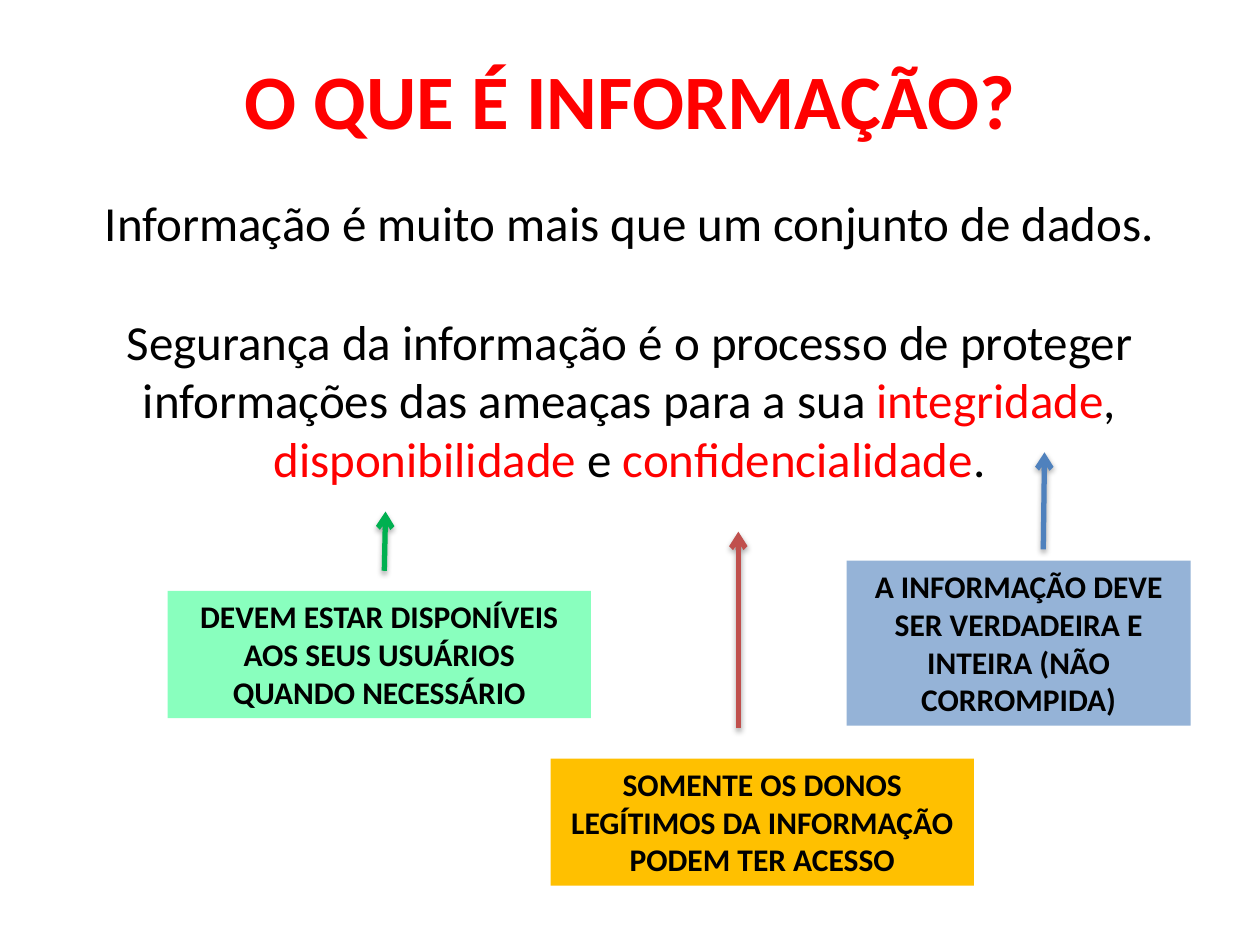
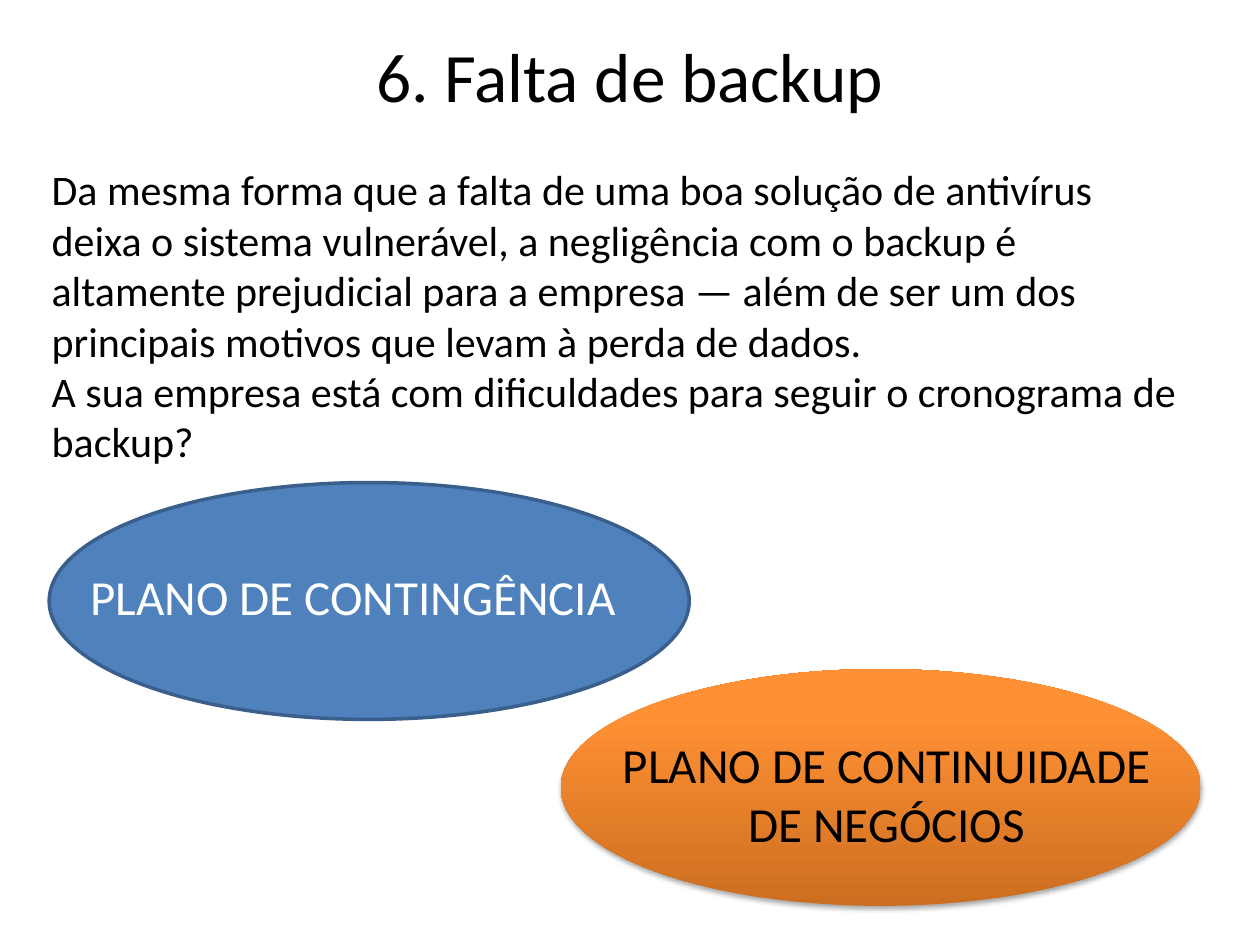
"""Builds two slides on information security and missing backups."""
from copy import deepcopy

from pptx import Presentation
from pptx.dml.color import RGBColor
from pptx.enum.shapes import MSO_CONNECTOR as Connector, MSO_SHAPE as Preset
from pptx.enum.text import MSO_ANCHOR as Anchor, MSO_AUTO_SIZE as AutoSize, PP_ALIGN as Align
from pptx.oxml import parse_xml
from pptx.oxml.ns import nsdecls, qn
from pptx.util import Pt

PX = 9144
FONT = "Calibri"
BLACK, WHITE, RED = "000000", "FFFFFF", "FF0000"
BLUE = "4F81BD"
SHADOW = (
    f'<a:effectLst {nsdecls("a")}>'
    '<a:outerShdw blurRad="40000" dist="23000" dir="5400000" rotWithShape="0">'
    f'<a:srgbClr val="{BLACK}"><a:alpha val="35000"/></a:srgbClr>'
    "</a:outerShdw></a:effectLst>"
)


def rgb(color):
    return RGBColor.from_string(color)


def write(paragraph, runs, size, align=Align.CENTER, bold=False):
    paragraph.alignment = align
    paragraph.space_before = Pt(0)
    for text, color in runs:
        run = paragraph.add_run()
        run.text = text
        run.font.name = FONT
        run.font.size = Pt(size)
        run.font.bold = bold
        run.font.color.rgb = rgb(color)


presentation = Presentation()
presentation.slide_width, presentation.slide_height = 1000 * PX, 750 * PX

definition = [
    ("Segurança da informação é o processo de proteger informações das ameaças para a sua ", BLACK),
    ("integridade", RED), (", ", BLACK), ("disponibilidade", RED),
    (" e ", BLACK), ("confidencialidade", RED), (".", BLACK),
]
pages = [
    dict(title="O QUE É INFORMAÇÃO?", title_top=16, title_size=44, title_color=RED,
         title_bold=True, title_margin=5, body_box=(70, 148, 859, 246), body_size=28,
         align=Align.CENTER, gap=34,
         body=[[("Informação é muito mais que um conjunto de dados.", BLACK)], definition]),
    dict(title="6. Falta de backup", title_top=30, title_size=39.6, title_color=BLACK,
         title_bold=False, title_margin=72, body_box=(31, 125, 922, 252), body_size=24,
         align=Align.LEFT, gap=0,
         body=[[("Da mesma forma que a falta de uma boa solução de antivírus deixa o sistema "
                 "vulnerável, a negligência com o backup é altamente prejudicial para a empresa "
                 "— além de ser um dos principais motivos que levam à perda de dados.", BLACK)],
               [("A sua empresa está com dificuldades para seguir o cronograma de backup?", BLACK)]]),
]

slides = []
for page in pages:
    slide = presentation.slides.add_slide(presentation.slide_layouts[1])
    slides.append(slide)
    title, body = slide.placeholders
    boxes = ((50, page["title_top"], 900, 125), page["body_box"])
    for placeholder, box in zip((title, body), boxes):
        placeholder.left, placeholder.top, placeholder.width, placeholder.height = (
            length * PX for length in box)
        placeholder.text_frame.auto_size = AutoSize.NONE
        placeholder.text_frame.word_wrap = True
    title.text_frame.vertical_anchor = Anchor.MIDDLE
    title.text_frame.margin_bottom = page["title_margin"] * PX
    write(title.text_frame.paragraphs[0], [(page["title"], page["title_color"])],
          page["title_size"], bold=page["title_bold"])
    for index, runs in enumerate(page["body"]):
        frame = body.text_frame
        paragraph = frame.add_paragraph() if index else frame.paragraphs[0]
        write(paragraph, runs, page["body_size"], page["align"])
        paragraph.space_before = Pt(page["gap"] * index)
        properties = paragraph._p.get_or_add_pPr()
        properties.set("marL", "0")
        properties.set("indent", "0")
        properties.append(parse_xml(f'<a:buNone {nsdecls("a")}/>'))

information_slide, backup_slide = slides

callouts = [
    ("SOMENTE OS DONOS LEGÍTIMOS DA INFORMAÇÃO PODEM TER ACESSO",
     (437, 602, 336, 101), "FFC000", (586, 578, 586, 422), "C0504D"),
    ("A INFORMAÇÃO DEVE SER VERDADEIRA E INTEIRA (NÃO CORROMPIDA)",
     (672, 445, 273, 131), "95B3D7", (828, 436, 829, 359), BLUE),
    ("DEVEM ESTAR DISPONÍVEIS AOS SEUS USUÁRIOS QUANDO NECESSÁRIO",
     (133, 469, 336, 101), "89FFBE", (305, 453, 306, 406), "00B050"),
]
for text, box, fill, ends, arrow_color in callouts:
    callout = information_slide.shapes.add_shape(
        Preset.RECTANGLE, *(length * PX for length in box))
    callout.shadow.inherit = False
    callout.fill.solid()
    callout.fill.fore_color.rgb = rgb(fill)
    callout.line.fill.background()
    callout.text_frame.word_wrap = True
    callout.text_frame.vertical_anchor = Anchor.TOP
    write(callout.text_frame.paragraphs[0], [(text, BLACK)], 18, bold=True)

    arrow = information_slide.shapes.add_connector(
        Connector.STRAIGHT, *(length * PX for length in ends))
    arrow.line.color.rgb = rgb(arrow_color)
    arrow.line.width = Pt(3)
    arrow.line._get_or_add_ln().append(parse_xml(f'<a:tailEnd {nsdecls("a")} type="arrow"/>'))
    arrow._element.spPr.append(parse_xml(SHADOW))

plans = [
    ("PLANO DE CONTINGÊNCIA", (39, 383), (62, 445, 469, 57), WHITE, Align.LEFT),
    ("PLANO DE CONTINUIDADE DE NEGÓCIOS", (445, 531), (469, 578, 469, 104), BLACK, Align.CENTER),
]
ellipses = []
for text, (left, top), label_box, color, align in plans:
    group = backup_slide.shapes.add_group_shape()
    ellipse = group.shapes.add_shape(Preset.OVAL, left * PX, top * PX, 508 * PX, 188 * PX)
    ellipse.shadow.inherit = False
    ellipses.append(ellipse)
    label = group.shapes.add_textbox(*(length * PX for length in label_box))
    label.text_frame.word_wrap = True
    write(label.text_frame.paragraphs[0], [(text, color)], 28, align)

contingency, continuity = ellipses
contingency.fill.solid()
contingency.fill.fore_color.rgb = rgb(BLUE)
contingency.line.color.rgb = rgb("3A5F8C")
contingency.line.width = Pt(2)

continuity.fill.gradient()
continuity.fill.gradient_angle = 90
continuity.line.fill.background()
properties = continuity._element.spPr
stop_list = properties.find(".//" + qn("a:gsLst"))
stop_list.insert(1, deepcopy(stop_list[0]))
gradient = [(0, "CC6E20"), (0.8, "FF9034"), (1, "FF9136")]
for stop, (position, color) in zip(continuity.fill.gradient_stops, gradient):
    stop.position = position
    stop.color.rgb = rgb(color)
properties.replace(properties.find(qn("a:effectLst")), parse_xml(SHADOW))

presentation.save("out.pptx")
